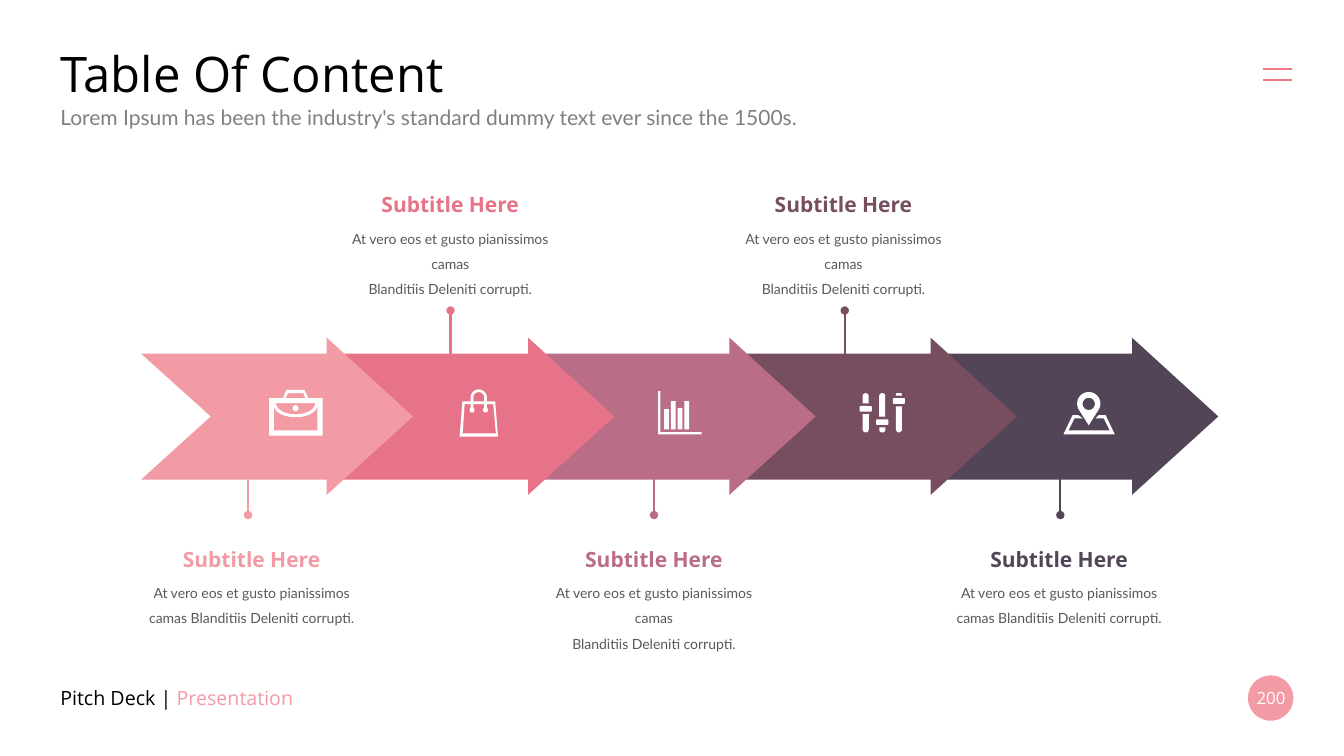
import dataclasses
import math

import lxml.etree
import pptx
import pptx.dml.color
import pptx.enum.shapes
import pptx.enum.text
import pptx.oxml.ns
import pptx.util

Pt = pptx.util.Pt
Align = pptx.enum.text.PP_ALIGN
Preset = pptx.enum.shapes.MSO_SHAPE
Point = tuple[float, float]
Contour = list[Point]


@dataclasses.dataclass(frozen=True)
class Theme:
    heading_font: str = "Open Sans"
    body_font: str = "Lato"
    black: str = "000000"
    white: str = "FFFFFF"
    grey: str = "808080"
    dark_grey: str = "595959"
    accent: str = "F29BA5"
    menu: str = "ED7885"
    title_size: float = 35
    subtitle_size: float = 15
    footer_size: float = 14
    number_size: float = 12
    body_size: float = 10
    body_leading: float = 18
    line_width: float = 1.5


@dataclasses.dataclass(frozen=True)
class Span:
    text: str
    font: str
    size: float
    color: str
    bold: bool = False


@dataclasses.dataclass(frozen=True)
class Box:
    left: float
    top: float
    width: float
    height: float


@dataclasses.dataclass(frozen=True)
class Step:
    color: str
    center: float
    pin: float
    above: bool
    lines: tuple[str, ...]


@dataclasses.dataclass(frozen=True)
class Slider:
    center: float
    knob_top: float


THEME = Theme()
ONE_PARAGRAPH = ("At vero eos et gusto pianissimos camas Blanditiis Deleniti corrupti.",)
TWO_PARAGRAPHS = ("At vero eos et gusto pianissimos camas", "Blanditiis Deleniti corrupti.")
STEPS = [
    Step("F29BA5", 179.7, 177.2, False, ONE_PARAGRAPH),
    Step("E77388", 321.6, 321.8, True, TWO_PARAGRAPHS),
    Step("BA6D87", 467.1, 467.2, False, TWO_PARAGRAPHS),
    Step("774E60", 602.5, 603.4, True, TWO_PARAGRAPHS),
    Step("524557", 756.5, 757.4, False, ONE_PARAGRAPH),
]
ARROW_LEFT, ARROW_PITCH = 100.8, 143.8
ARROW = [(132.6, 241.2), (194.2, 297.5), (132.6, 353.5), (132.6, 342.6),
         (0, 342.6), (49.8, 297.5), (0, 252.7), (132.6, 252.7)]
SLIDERS = [Slider(618.4, 290), Slider(630.2, 299.5), Slider(642.1, 284.4)]


def arc(x: float, y: float, rx: float, ry: float, start: float, end: float) -> Contour:
    angles = [math.radians(start + (end - start) * i / 24) for i in range(25)]
    return [(x + rx * math.cos(a), y + ry * math.sin(a)) for a in angles]


def circle(x: float, y: float, radius: float) -> Contour:
    return arc(x, y, radius, radius, 0, 360)


def rectangle(left: float, top: float, right: float, bottom: float) -> Contour:
    return [(left, top), (right, top), (right, bottom), (left, bottom)]


BRIEFCASE = [
    [(192.2, 284.4), (202.3, 284.4), (204.5, 278.6), (217.4, 278.6), (220.3, 284.4),
     (230.4, 284.4), (230.4, 311.2), (192.2, 311.2)],
    [(205.9, 280.8), (216.7, 280.8), (218.2, 284.4), (203.8, 284.4)],
    arc(211.2, 288, 14, 8, 0, 180),
    arc(211.2, 289.4, 15.5, 8.7, 180, 0) + [(226.7, 307.4), (195.7, 307.4)],
    circle(211.2, 291.6, 2.1),
]
BAG = [
    [(330.3, 286.6), (353.7, 286.6), (355.7, 311.8), (328.3, 311.8)],
    [(331.9, 288.7), (352.3, 288.7), (354.2, 309.6), (330.5, 309.6)],
]
BAG_HANDLE = [arc(342, 284, 5.8, 5.8, 180, 360) + [(347.8, 291.6), (345.9, 291.6)]
              + arc(342, 284, 3.9, 3.9, 360, 180) + [(338.1, 291.6), (336.2, 291.6)]]
BAG_KNOBS = [circle(x, 292.9, 1.8) for x in (337.2, 346.8)]
BAR_CHART = [
    [(470.2, 279.4), (471.8, 279.4), (471.8, 308.7), (501.1, 308.7), (501.1, 310.3), (470.2, 310.3)],
] + [rectangle(474.5 + 4.8 * i, top, 477.8 + 4.8 * i, 306.7)
     for i, top in enumerate((292.3, 286.6, 291.6, 286.6))]
MAP_PIN = [
    [(766.1, 296.6), (770.4, 296.6), (773.3, 298.8), (767.5, 298.8), (763.2, 307.4),
     (792.7, 307.4), (788.4, 298.8), (782.6, 298.8), (784.8, 296.6), (789.8, 296.6),
     (796.3, 310.3), (759.6, 310.3)],
    arc(777.7, 288.3, 8.3, 8.3, 145, 395) + [(777.7, 303.8)],
    circle(777.7, 288.5, 4.4),
]
GLYPHS = [BRIEFCASE, BAG, BAG_HANDLE, BAG_KNOBS, BAR_CHART, MAP_PIN]


def rgb(color: str) -> pptx.dml.color.RGBColor:
    return pptx.dml.color.RGBColor.from_string(color)


def paint(shape, color: str) -> None:
    shape.shadow.inherit = False
    shape.fill.solid()
    shape.fill.fore_color.rgb = rgb(color)
    shape.line.fill.background()


def add_preset(page, kind, box: Box, color: str):
    shape = page.shapes.add_shape(kind, Pt(box.left), Pt(box.top), Pt(box.width), Pt(box.height))
    paint(shape, color)
    return shape


def add_outline(page, contours: list[Contour], color: str) -> None:
    scaled = [[(Pt(x), Pt(y)) for x, y in contour] for contour in contours]
    builder = page.shapes.build_freeform(*scaled[0][0])
    builder.add_line_segments(scaled[0][1:], close=True)
    for contour in scaled[1:]:
        builder.move_to(*contour[0])
        builder.add_line_segments(contour[1:], close=True)
    paint(builder.convert_to_shape(), color)


def add_line(page, start: Point, end: Point, color: str, dot: bool = False) -> None:
    connector = page.shapes.add_connector(
        pptx.enum.shapes.MSO_CONNECTOR.STRAIGHT, *[Pt(value) for value in start + end])
    connector.line.color.rgb = rgb(color)
    connector.line.width = Pt(THEME.line_width)
    properties = connector._element.spPr
    qn = pptx.oxml.ns.qn
    if dot:
        lxml.etree.SubElement(properties.find(qn("a:ln")), qn("a:tailEnd"), type="oval")
    lxml.etree.SubElement(properties, qn("a:effectLst"))


def write(frame, paragraphs: list[list[Span]], align=Align.LEFT, leading: float | None = None) -> None:
    frame.word_wrap = True
    for index, spans in enumerate(paragraphs):
        para = frame.paragraphs[0] if index == 0 else frame.add_paragraph()
        para.alignment = align
        if leading:
            para.line_spacing = Pt(leading)
        for span in spans:
            run = para.add_run()
            run.text = span.text
            run.font.name = span.font
            run.font.size = Pt(span.size)
            run.font.bold = span.bold
            run.font.color.rgb = rgb(span.color)


def add_text(page, box: Box, paragraphs: list[list[Span]], align=Align.LEFT,
             leading: float | None = None, middle: bool = False) -> None:
    shape = page.shapes.add_textbox(Pt(box.left), Pt(box.top), Pt(box.width), Pt(box.height))
    anchors = pptx.enum.text.MSO_ANCHOR
    shape.text_frame.vertical_anchor = anchors.MIDDLE if middle else anchors.TOP
    write(shape.text_frame, paragraphs, align, leading)


def add_header_and_footer(page) -> None:
    heading, body = THEME.heading_font, THEME.body_font
    title = page.shapes.title
    title.left, title.top, title.width, title.height = Pt(36), Pt(28.1), Pt(887.8), Pt(47.5)
    title.text_frame.auto_size = pptx.enum.text.MSO_AUTO_SIZE.NONE
    title.text_frame.vertical_anchor = pptx.enum.text.MSO_ANCHOR.MIDDLE
    write(title.text_frame, [[Span("Table Of Content", heading, THEME.title_size, THEME.black)]])
    tagline = "Lorem Ipsum has been the industry's standard dummy text ever since the 1500s."
    add_text(page, Box(36, 71.3, 887.8, 25.2), [[Span(tagline, body, THEME.subtitle_size, THEME.grey)]])
    for y in (49, 56.9):
        add_line(page, (902.2, y), (923, y), THEME.menu)
    add_text(page, Box(36, 483.8, 236.9, 28.8), [[
        Span("Pitch Deck | ", heading, THEME.footer_size, THEME.black),
        Span("Presentation", heading, THEME.footer_size, THEME.accent)]], middle=True)
    add_preset(page, Preset.OVAL, Box(891.4, 482.4, 32.4, 32.4), THEME.accent)
    add_text(page, Box(888.5, 490.3, 38.9, 15.8),
             [[Span("200", heading, THEME.number_size, THEME.white)]], Align.CENTER, middle=True)


def add_step(page, index: int, step: Step) -> None:
    ends = (253.4, 221.8) if step.above else (341.3, 367.9)
    add_line(page, (step.pin, ends[0]), (step.pin, ends[1]), step.color, dot=True)
    left = ARROW_LEFT + ARROW_PITCH * index
    add_outline(page, [[(left + x, y) for x, y in ARROW]], step.color)
    top = 133.2 if step.above else 386.6
    add_text(page, Box(step.center - 59, top, 118, 25.2), [[
        Span("Subtitle Here", THEME.heading_font, THEME.subtitle_size, step.color, True)]], Align.CENTER)
    paragraphs = [[Span(line, THEME.body_font, THEME.body_size, THEME.dark_grey)] for line in step.lines]
    add_text(page, Box(step.center - 91.8, top + 21.6, 183.6, 41), paragraphs,
             Align.CENTER, THEME.body_leading)


def add_slider(page, slider: Slider) -> None:
    top, bottom, width, left = 280.8, 308.9, 4.3, slider.center - 2.15
    low = slider.knob_top + 5.8
    for start, end, turn in ((top, slider.knob_top - 1.8, 0), (low, bottom, 180)):
        bar = add_preset(page, Preset.ROUND_2_SAME_RECTANGLE, Box(left, start, width, end - start), THEME.white)
        bar.adjustments[0] = 0.5
        bar.rotation = turn
    add_preset(page, Preset.ROUNDED_RECTANGLE, Box(slider.center - 4.3, slider.knob_top, 8.6, 4), THEME.white)


def main() -> None:
    deck = pptx.Presentation()
    deck.slide_width, deck.slide_height = Pt(960), Pt(540)
    page = deck.slides.add_slide(deck.slide_layouts[5])
    add_header_and_footer(page)
    for index, step in reversed(list(enumerate(STEPS))):
        add_step(page, index, step)
    for glyph in GLYPHS:
        add_outline(page, glyph, THEME.white)
    for slider in SLIDERS:
        add_slider(page, slider)
    deck.save("out.pptx")


if __name__ == "__main__":
    main()
